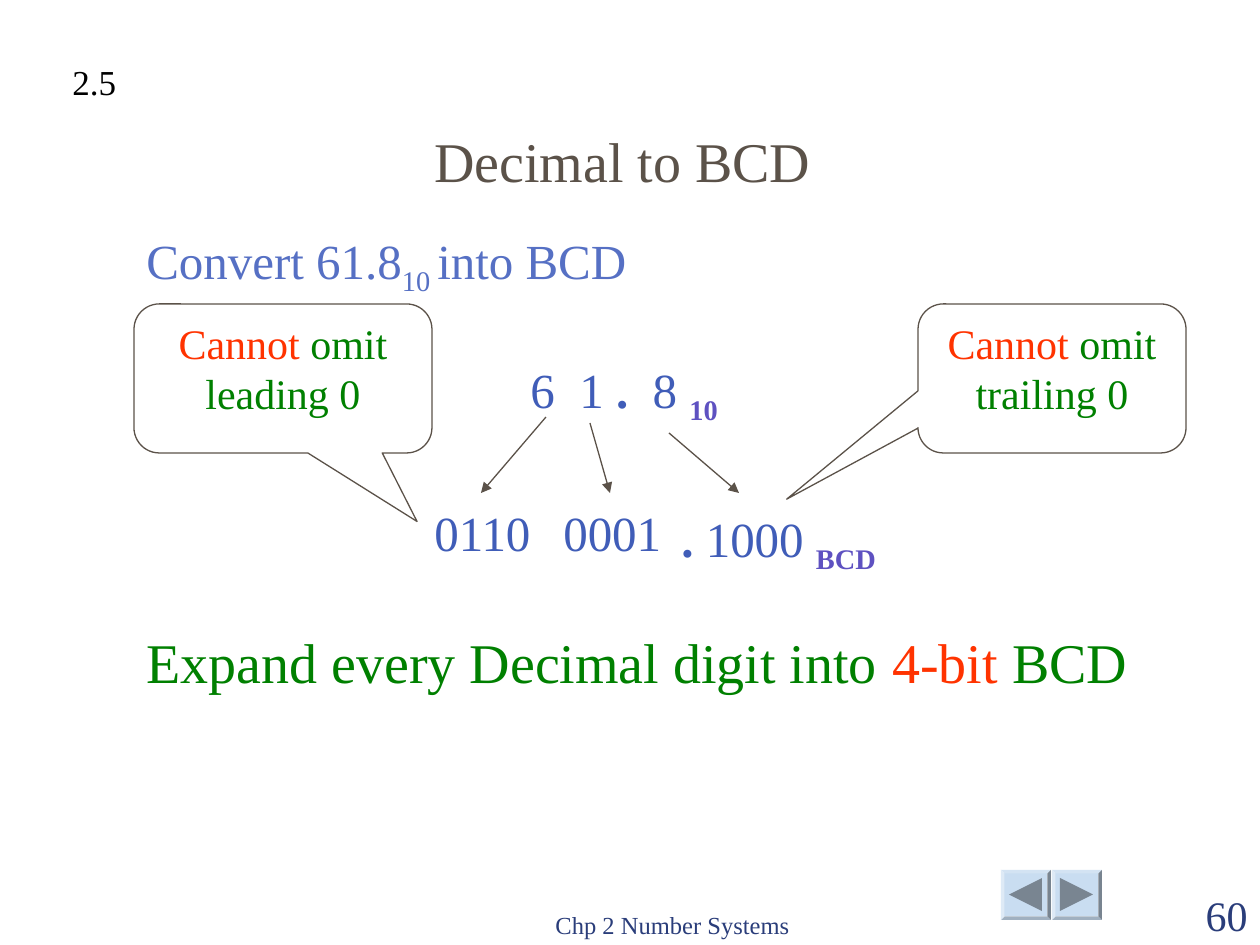
from lxml.etree import SubElement
from pptx import Presentation
from pptx.dml.color import RGBColor
from pptx.enum.shapes import MSO_CONNECTOR, MSO_SHAPE
from pptx.enum.text import MSO_ANCHOR, MSO_AUTO_SIZE, PP_ALIGN
from pptx.oxml.ns import qn
from pptx.util import Pt

SCALE = 914400 / 126
FONT = "Times New Roman"
BROWN, NAVY, BLUE, LIGHT_BLUE = "5B5249", "2A3D7A", "405DB8", "5670C4"
PURPLE, GREEN, RED = "5E51C1", "008000", "FF3300"
BUTTON, BUTTON_ICON = "C9DDF1", "798591"


def px(length):
    return round(length * SCALE)


def color(value):
    return RGBColor.from_string(value)


def write(box, spans, size, ink, align=PP_ALIGN.LEFT, anchor=MSO_ANCHOR.TOP,
          spacing=1.0, tab=None, wrap=True):
    frame = box.text_frame
    frame.word_wrap = wrap
    frame.auto_size = MSO_AUTO_SIZE.NONE
    frame.vertical_anchor = anchor
    para = frame.paragraphs[0]
    para.alignment = align
    para.line_spacing = spacing
    if tab:
        stops = SubElement(para._p.get_or_add_pPr(), qn("a:tabLst"))
        SubElement(stops, qn("a:tab"), pos=str(px(tab)), algn="l")
    para.font.name = FONT
    para.font.size = Pt(size)
    para.font.color.rgb = color(ink)
    for text, style in spans:
        span = para.add_run()
        span.text = text
        if "ink" in style:
            span.font.color.rgb = color(style["ink"])
        if "bold" in style:
            span.font.bold = style["bold"]
        if style.get("subscript"):
            span._r.get_or_add_rPr().set("baseline", "-25000")


def add_text(page, left, top, width, height, spans, size, ink, **layout):
    box = page.shapes.add_textbox(px(left), px(top), px(width), px(height))
    write(box, spans, size, ink, **layout)


def add_arrow(page, start_x, start_y, end_x, end_y):
    arrow = page.shapes.add_connector(
        MSO_CONNECTOR.STRAIGHT, px(start_x), px(start_y), px(end_x), px(end_y))
    arrow.line.color.rgb = color(BROWN)
    arrow.line.width = Pt(0.75)
    SubElement(arrow.line._get_or_add_ln(), qn("a:tailEnd"), type="triangle")
    SubElement(arrow._element.spPr, qn("a:effectLst"))


def add_filled(page, kind, left, top, size, fill):
    shape = page.shapes.add_shape(kind, px(left), px(top), px(size), px(size))
    shape.shadow.inherit = False
    shape.fill.solid()
    shape.fill.fore_color.rgb = color(fill)
    shape.line.fill.background()
    return shape


def add_navigation(page, left, top):
    for index, rotation in enumerate((-90, 90)):
        button_left = left + 51 * index
        button = add_filled(page, MSO_SHAPE.BEVEL, button_left, top, 50, BUTTON)
        button.adjustments[0] = 0.07
        icon = add_filled(page, MSO_SHAPE.ISOSCELES_TRIANGLE,
                          button_left + 8, top + 8, 33, BUTTON_ICON)
        icon.rotation = rotation


def add_header(page, left, top):
    add_text(page, left, top, 69, 55, [("2.5", {})], 20, "000000", wrap=False)
    title = page.shapes.title
    title.left, title.top = px(left + 34), px(top + 52)
    title.width, title.height = px(1071), px(94)
    write(title, [("Decimal to BCD ", {})], 32, BROWN,
          align=PP_ALIGN.CENTER, anchor=MSO_ANCHOR.BOTTOM)


def add_footer(page, left, top):
    for offset, width, text, size, align in (
            (0, 399, "Chp 2 Number Systems", 14, PP_ALIGN.CENTER),
            (661, 126, "60", 24, PP_ALIGN.RIGHT)):
        add_text(page, left + offset, top, width, 63, [(text, {})], size, NAVY,
                 align=align, anchor=MSO_ANCHOR.BOTTOM)


def add_conversion(page, left, top):
    bold = {"bold": True}
    base = {"ink": PURPLE, "bold": True, "subscript": True}
    rows = (
        (0, 0, 407, [("\t6  1 ", {}), (".", bold), ("  8 ", {}), ("10", base)]),
        (30, 149, 169, [("0110", {})]),
        (159, 149, 129, [("0001", {})]),
        (277, 149, 238, [(".", bold), (" 1000 ", {}), ("BCD", base)]),
    )
    for across, down, width, spans in rows:
        add_text(page, left + across, top + down, width, 73, spans, 28, BLUE,
                 spacing=0.9, tab=126)
    for start_x, start_y, end_x in ((154, 63, 89), (198, 69, 218), (277, 79, 347)):
        add_arrow(page, left + start_x, top + start_y, left + end_x, top + 139)


def add_callout(page, left, top, width, pointer, rest):
    callout = page.shapes.add_shape(MSO_SHAPE.ROUNDED_RECTANGULAR_CALLOUT,
                                    px(left), px(top), px(width), px(149))
    callout.shadow.inherit = False
    callout.fill.background()
    callout.line.color.rgb = color(BROWN)
    callout.line.width = Pt(0.75)
    for index, value in enumerate((*pointer, 0.17)):
        callout.adjustments[index] = value
    write(callout, [("Cannot", {"ink": RED}), (rest, {})], 24, GREEN,
          align=PP_ALIGN.CENTER)


def add_body(page, left, top):
    add_text(page, left, top, 1050, 84,
             [("Convert 61.8", {}), ("10 ", {"subscript": True}), ("into BCD", {})],
             28, LIGHT_BLUE)
    add_conversion(page, left + 258, top + 130)
    add_text(page, left, top + 397, 1012, 81,
             [("Expand every Decimal digit into ", {}), ("4-bit", {"ink": RED}),
              (" BCD", {})], 32, GREEN)
    add_callout(page, left, top + 80, 298, (0.45, 0.96), " omit leading 0")
    add_callout(page, left + 784, top + 80, 268, (-0.99, 0.81), " omit trailing 0")


def main():
    deck = Presentation()
    deck.slide_width, deck.slide_height = px(1260), px(945)
    page = deck.slides.add_slide(deck.slide_layouts[5])
    add_navigation(page, 1001, 870)
    add_footer(page, 473, 883)
    add_header(page, 60, 54)
    add_body(page, 134, 224)
    deck.save("out.pptx")


if __name__ == "__main__":
    main()
